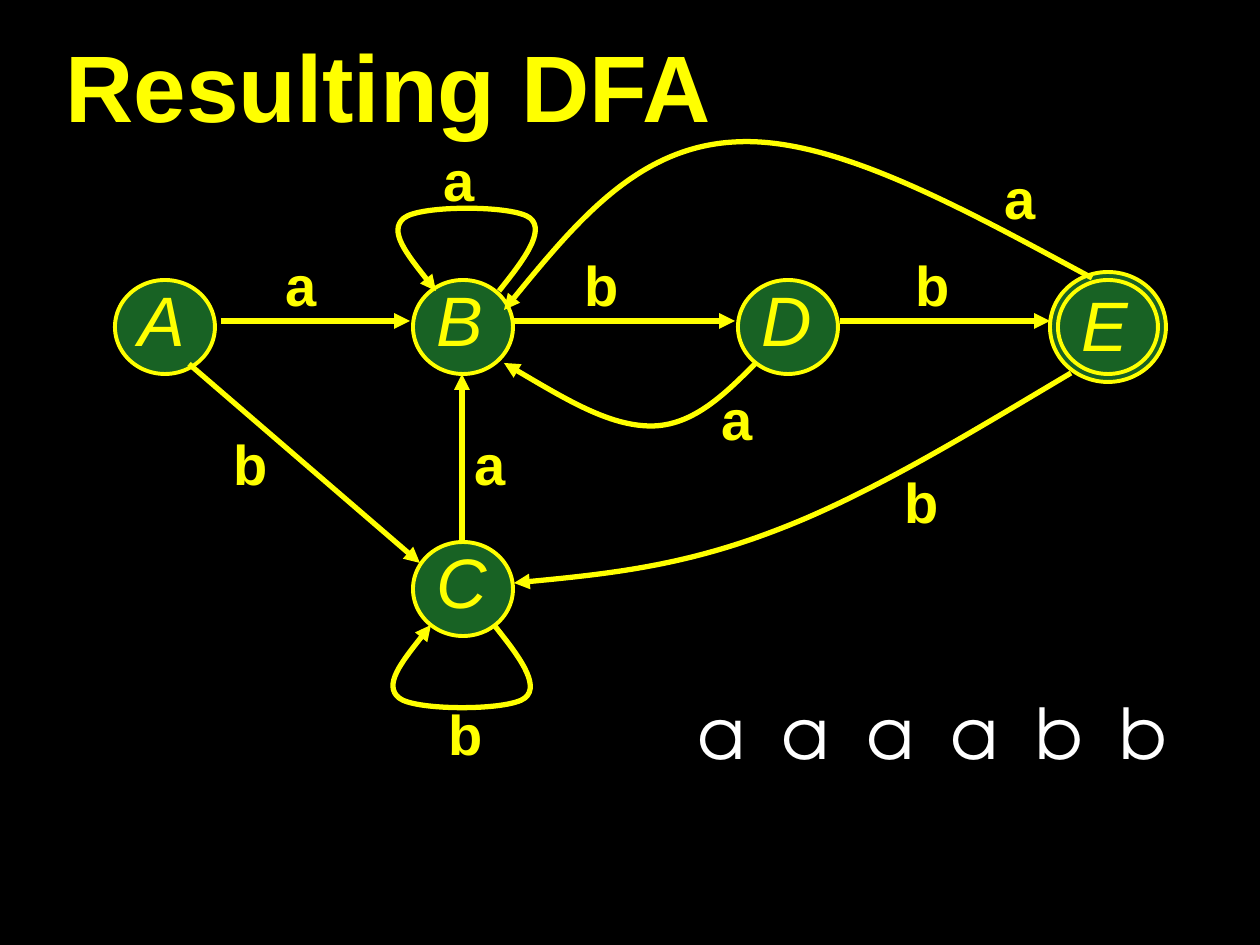
"""Draw the state diagram of the DFA that results from the subset construction."""
from dataclasses import dataclass

from lxml.etree import SubElement
from pptx import Presentation
from pptx.dml.color import RGBColor
from pptx.enum.shapes import MSO_CONNECTOR, MSO_SHAPE
from pptx.enum.text import MSO_ANCHOR, MSO_AUTO_SIZE
from pptx.oxml import parse_xml
from pptx.oxml.ns import nsdecls, qn
from pptx.util import Emu, Pt

EMU_PER_PX = 914400 / 126
BLACK = RGBColor(0x00, 0x00, 0x00)
YELLOW = RGBColor(0xFF, 0xFF, 0x00)
GREEN = RGBColor(0x18, 0x62, 0x24)
WHITE = RGBColor(0xFF, 0xFF, 0xFF)

STATE_WIDTH, STATE_HEIGHT = 100, 94
RING_GAP = 8
LOOP = ((0, 0), (24, 30), (47, 60), (31, 73), (15, 86),
        (-79, 86), (-95, 73), (-111, 60), (-87, 30), (-63, 0))

Point = tuple[int, int]


@dataclass(frozen=True)
class State:
    name: str
    left: int
    top: int
    accepting: bool = False


@dataclass(frozen=True)
class Symbol:
    letter: str
    left: int
    top: int


@dataclass(frozen=True)
class Arrow:
    start: Point
    end: Point


STATES = (
    State("A", 115, 280),
    State("B", 413, 280),
    State("D", 738, 280),
    State("C", 413, 542),
    State("E", 1058, 280, accepting=True),
)
ARROWS = (
    Arrow((221, 321), (410, 321)),
    Arrow((514, 321), (735, 321)),
    Arrow((840, 321), (1050, 321)),
    Arrow((189, 364), (420, 563)),
    Arrow((462, 542), (462, 374)),
)
CURVES = (
    ((1071, 373), (970, 433), (869, 495), (777, 530),
     (684, 566), (600, 575), (514, 583)),
    ((756, 363), (725, 394), (693, 426), (651, 426),
     (609, 426), (557, 394), (504, 363)),
    ((1092, 278), (962, 208), (833, 136), (735, 142),
     (638, 147), (571, 228), (504, 310)),
    tuple((494 + x, 625 + y) for x, y in LOOP),
    tuple((499 + x, 291 - y) for x, y in LOOP),
)
SYMBOLS = (
    Symbol("a", 273, 257), Symbol("b", 572, 257), Symbol("b", 903, 257),
    Symbol("a", 431, 152), Symbol("a", 992, 170), Symbol("b", 221, 436),
    Symbol("a", 462, 436), Symbol("a", 709, 391), Symbol("b", 892, 474),
    Symbol("b", 436, 706),
)
INPUT_WORD = "aaaabb"


def px(length: int) -> Emu:
    return Emu(round(length * EMU_PER_PX))


def add_text(slide, text: str, left: int, top: int, width: int, height: int, *,
             size: int, color: RGBColor = YELLOW, font: str = "Arial",
             bold: bool = False, italic: bool = False, spacing: float = 0.8,
             wrap: bool = True, grow: bool = True, shadow: bool = False,
             anchor: MSO_ANCHOR = MSO_ANCHOR.TOP) -> None:
    frame = slide.shapes.add_textbox(px(left), px(top), px(width), px(height)).text_frame
    frame.word_wrap = wrap
    frame.auto_size = MSO_AUTO_SIZE.SHAPE_TO_FIT_TEXT if grow else MSO_AUTO_SIZE.NONE
    frame.vertical_anchor = anchor
    paragraph = frame.paragraphs[0]
    paragraph.line_spacing = spacing
    run = paragraph.add_run()
    run.text = text
    run.font.name, run.font.size = font, Pt(size)
    run.font.bold, run.font.italic = bold, italic
    run.font.color.rgb = color
    if shadow:
        run.font.fill._xPr.find(qn("a:solidFill")).addnext(parse_xml(
            f'<a:effectLst {nsdecls("a")}><a:outerShdw dist="35921" dir="2700000">'
            '<a:srgbClr val="C0C0C0"/></a:outerShdw></a:effectLst>'))


def add_ellipse(slide, left: int, top: int, width: int, height: int) -> None:
    ellipse = slide.shapes.add_shape(
        MSO_SHAPE.OVAL, px(left), px(top), px(width), px(height))
    ellipse.shadow.inherit = False
    ellipse.fill.solid()
    ellipse.fill.fore_color.rgb = GREEN
    ellipse.line.color.rgb = YELLOW
    ellipse.line.width = Pt(2.25)


def add_state(slide, state: State) -> None:
    if state.accepting:
        add_ellipse(slide, state.left - RING_GAP, state.top - RING_GAP,
                    STATE_WIDTH + 2 * RING_GAP, STATE_HEIGHT + 2 * RING_GAP)
    add_ellipse(slide, state.left, state.top, STATE_WIDTH, STATE_HEIGHT)
    add_text(slide, state.name, state.left + 11, state.top + (12 if state.accepting else 7),
             73 if state.accepting else 67, 81, size=40, italic=True)


def style_edge(edge) -> None:
    edge.line.color.rgb = YELLOW
    edge.line.width = Pt(3)
    SubElement(edge.line._get_or_add_ln(), qn("a:tailEnd"), type="triangle")


def add_arrow(slide, arrow: Arrow) -> None:
    line = slide.shapes.add_connector(
        MSO_CONNECTOR.STRAIGHT, *map(px, arrow.start + arrow.end))
    style_edge(line)
    SubElement(line._element.spPr, qn("a:effectLst"))


def add_curve(slide, points: tuple[Point, ...]) -> None:
    builder = slide.shapes.build_freeform(*points[0], scale=EMU_PER_PX)
    builder.add_line_segments(points[1:], close=False)
    curve = builder.convert_to_shape()
    curve.shadow.inherit = False
    curve.fill.background()
    style_edge(curve)
    outline = next(curve._element.iter(qn("a:path")))
    segments = outline.findall(qn("a:lnTo"))
    for first in range(0, len(segments), 3):
        bezier = SubElement(outline, qn("a:cubicBezTo"))
        for segment in segments[first:first + 3]:
            bezier.append(segment[0])
            outline.remove(segment)


def main() -> None:
    presentation = Presentation()
    presentation.slide_width, presentation.slide_height = px(1260), px(945)
    slide = presentation.slides.add_slide(presentation.slide_layouts[6])
    slide.background.fill.solid()
    slide.background.fill.fore_color.rgb = BLACK

    add_text(slide, "Resulting DFA", 53, 32, 1218, 105, size=54, bold=True,
             spacing=1.0, grow=False, shadow=True, anchor=MSO_ANCHOR.MIDDLE)
    for state in STATES:
        add_state(slide, state)
    for arrow in ARROWS:
        add_arrow(slide, arrow)
    for curve in CURVES:
        add_curve(slide, curve)
    for symbol in SYMBOLS:
        add_text(slide, symbol.letter, symbol.left, symbol.top, 79, 67, size=32, bold=True)
    for index, letter in enumerate(INPUT_WORD):
        add_text(slide, letter, 685 + index * 169 // 2, 683, 64 if letter == "a" else 68, 97,
                 size=40, color=WHITE, font="TeX Gyre Adventor", spacing=1.0, wrap=False)
    presentation.save("out.pptx")


if __name__ == "__main__":
    main()
